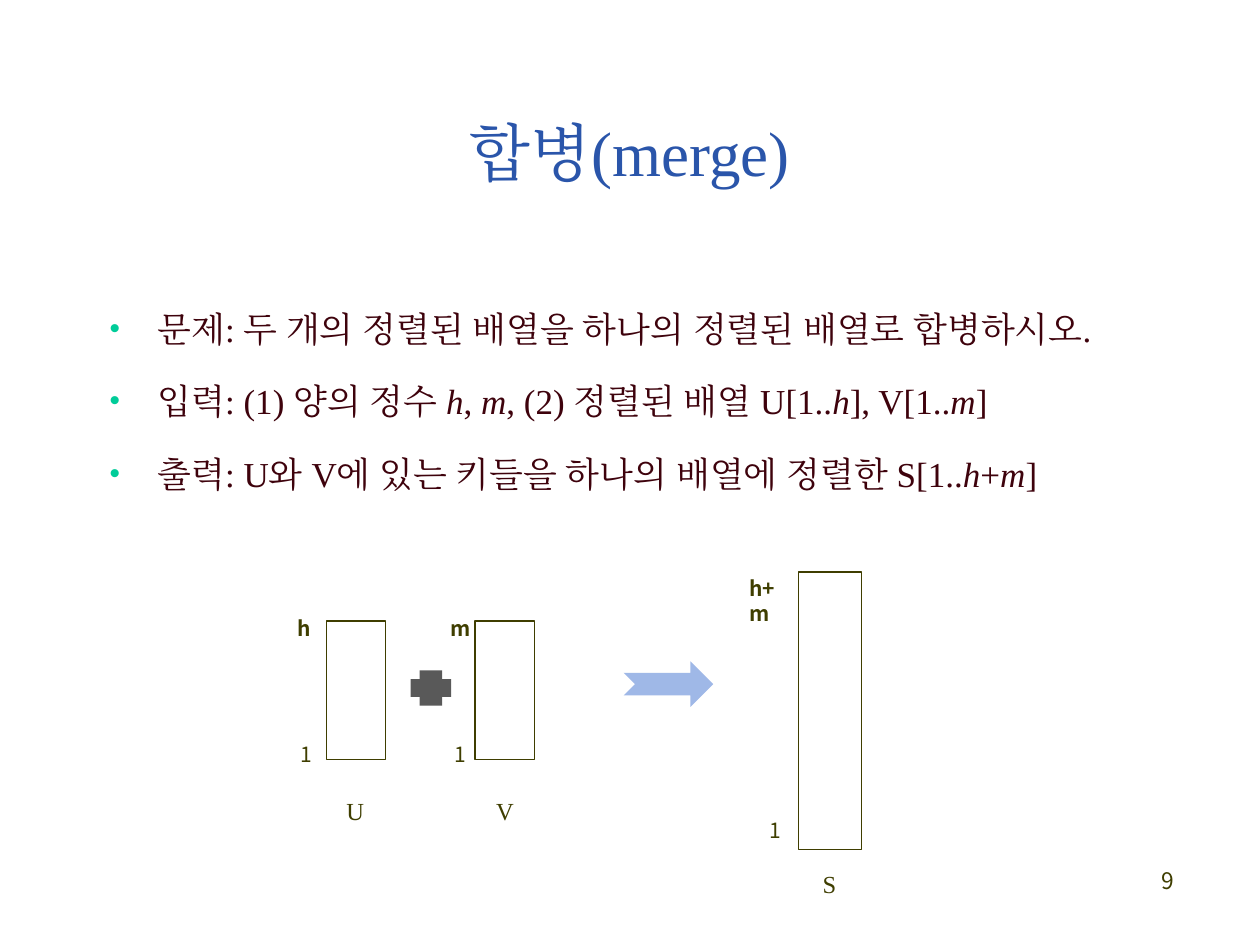
from dataclasses import dataclass

from lxml import etree
from pptx import Presentation
from pptx.dml.color import RGBColor
from pptx.enum.shapes import MSO_SHAPE
from pptx.enum.text import MSO_ANCHOR, MSO_AUTO_SIZE, PP_ALIGN
from pptx.oxml.ns import qn
from pptx.util import Inches, Pt

RECTANGLE = MSO_SHAPE.RECTANGLE
PLUS = MSO_SHAPE.CROSS
ARROW = MSO_SHAPE.NOTCHED_RIGHT_ARROW
LEFT, CENTER, RIGHT = PP_ALIGN.LEFT, PP_ALIGN.CENTER, PP_ALIGN.RIGHT


@dataclass(frozen=True)
class Theme:
    serif: str = "Times New Roman"
    sans: str = "Noto Sans CJK KR"
    title: str = "2A55AA"
    body: str = "3E020C"
    bullet: str = "00CC99"
    ink: str = "3F3E00"
    plus: str = "595959"
    arrow: str = "9FB8E7"
    title_size: float = 36
    body_size: float = 20
    name_size: float = 14
    number_size: float = 13
    index_size: float = 12


@dataclass(frozen=True)
class Box:
    left: float
    top: float
    width: float
    height: float

    def lengths(self) -> tuple:
        return tuple(map(Inches, (self.left, self.top, self.width, self.height)))


@dataclass(frozen=True)
class Array:
    name: str
    box: Box
    name_at: Box
    last: str
    last_at: Box
    first_at: Box


THEME = Theme()
ARRAYS = (
    Array("U", Box(2.59, 4.93, 0.47, 1.1), Box(2.65, 6.27, 0.34, 0.34),
          "h", Box(2.26, 4.84, 0.3, 0.3), Box(2.29, 5.84, 0.3, 0.3)),
    Array("V", Box(3.77, 4.93, 0.47, 1.1), Box(3.84, 6.27, 0.34, 0.34),
          "m", Box(3.48, 4.84, 0.34, 0.3), Box(3.51, 5.84, 0.3, 0.3)),
    Array("S", Box(6.34, 4.54, 0.5, 2.2), Box(6.43, 6.85, 0.31, 0.34),
          "h+m", Box(5.85, 4.52, 0.54, 0.3), Box(6.01, 6.44, 0.3, 0.3)),
)
# Text between asterisks is italic.
STATEMENTS = (
    "문제: 두 개의 정렬된 배열을 하나의 정렬된 배열로 합병하시오.",
    "입력: (1) 양의 정수 *h*, *m*, (2) 정렬된 배열 U[1..*h*], V[1..*m*]",
    "출력: U와 V에 있는 키들을 하나의 배열에 정렬한 S[1..*h*+*m*]",
)


def add_run(paragraph, text: str, font_name: str, size: float, color: str,
            bold: bool = False, italic: bool = False) -> None:
    run = paragraph.add_run()
    run.text = text
    font = run.font
    font.name, font.size, font.bold, font.italic = font_name, Pt(size), bold, italic
    font.color.rgb = RGBColor.from_string(color)
    etree.SubElement(font._element, qn("a:ea"), typeface=font_name)


def place(shape, box: Box) -> None:
    shape.left, shape.top, shape.width, shape.height = box.lengths()


def add_bullet(paragraph) -> None:
    properties = paragraph._p.get_or_add_pPr()
    properties.set("marL", str(Inches(0.38)))
    properties.set("indent", str(-Inches(0.38)))
    color = etree.SubElement(properties, qn("a:buClr"))
    etree.SubElement(color, qn("a:srgbClr"), val=THEME.bullet)
    etree.SubElement(properties, qn("a:buSzPct"), val="85000")
    etree.SubElement(properties, qn("a:buChar"), char="•")


def fill_title(title) -> None:
    place(title, Box(0.75, 0.58, 8.5, 1.25))
    frame = title.text_frame
    frame.auto_size = MSO_AUTO_SIZE.NONE
    frame.vertical_anchor = MSO_ANCHOR.MIDDLE
    paragraph = frame.paragraphs[0]
    paragraph.alignment = CENTER
    add_run(paragraph, "합병(merge)", THEME.serif, THEME.title_size, THEME.title)


def fill_body(body) -> None:
    place(body, Box(0.77, 2.22, 8.45, 1.73))
    frame = body.text_frame
    frame.auto_size = MSO_AUTO_SIZE.NONE
    for index, statement in enumerate(STATEMENTS):
        paragraph = frame.add_paragraph() if index else frame.paragraphs[0]
        paragraph.line_spacing = 1.5
        paragraph.space_before = Pt(5.5)
        add_bullet(paragraph)
        for position, part in enumerate(statement.split("*")):
            add_run(paragraph, part, THEME.serif, THEME.body_size, THEME.body,
                    italic=position % 2 == 1)


def add_label(slide, text: str, box: Box, font_name: str, size: float,
              bold: bool = False, alignment: PP_ALIGN = LEFT) -> None:
    frame = slide.shapes.add_textbox(*box.lengths()).text_frame
    frame.word_wrap = True
    paragraph = frame.paragraphs[0]
    paragraph.alignment = alignment
    add_run(paragraph, text, font_name, size, THEME.ink, bold)


def add_symbol(slide, kind: MSO_SHAPE, box: Box, color: str) -> None:
    shape = slide.shapes.add_shape(kind, *box.lengths())
    shape.shadow.inherit = False
    shape.fill.solid()
    shape.fill.fore_color.rgb = RGBColor.from_string(color)
    shape.line.fill.background()


def add_array(slide, array: Array) -> None:
    shape = slide.shapes.add_shape(RECTANGLE, *array.box.lengths())
    shape.shadow.inherit = False
    shape.fill.background()
    shape.line.color.rgb = RGBColor.from_string(THEME.ink)
    shape.line.width = Pt(0.75)
    add_label(slide, array.name, array.name_at, THEME.serif, THEME.name_size)
    add_label(slide, array.last, array.last_at, THEME.sans, THEME.index_size, bold=True)
    add_label(slide, "1", array.first_at, THEME.sans, THEME.index_size)


def main() -> None:
    presentation = Presentation()
    presentation.slide_width, presentation.slide_height = Inches(10), Inches(7.5)
    slide = presentation.slides.add_slide(presentation.slide_layouts[1])
    fill_title(slide.shapes.title)
    fill_body(slide.placeholders[1])
    for array in ARRAYS:
        add_array(slide, array)
    add_symbol(slide, PLUS, Box(3.26, 5.32, 0.32, 0.28), THEME.plus)
    add_symbol(slide, ARROW, Box(4.95, 5.25, 0.71, 0.36), THEME.arrow)
    add_label(slide, "9", Box(8.86, 6.83, 0.56, 0.5), THEME.sans,
              THEME.number_size, alignment=RIGHT)
    presentation.save("out.pptx")


if __name__ == "__main__":
    main()
